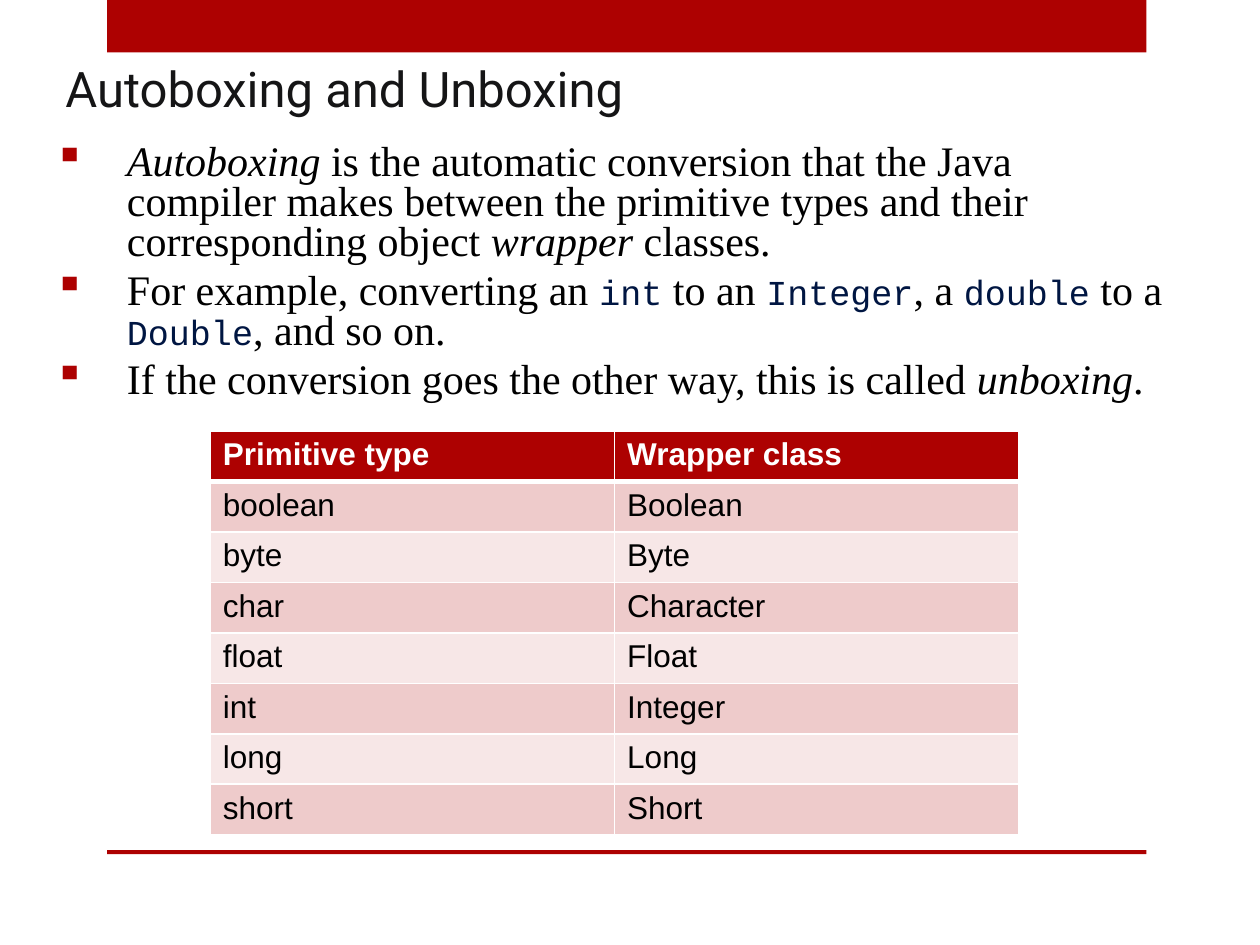
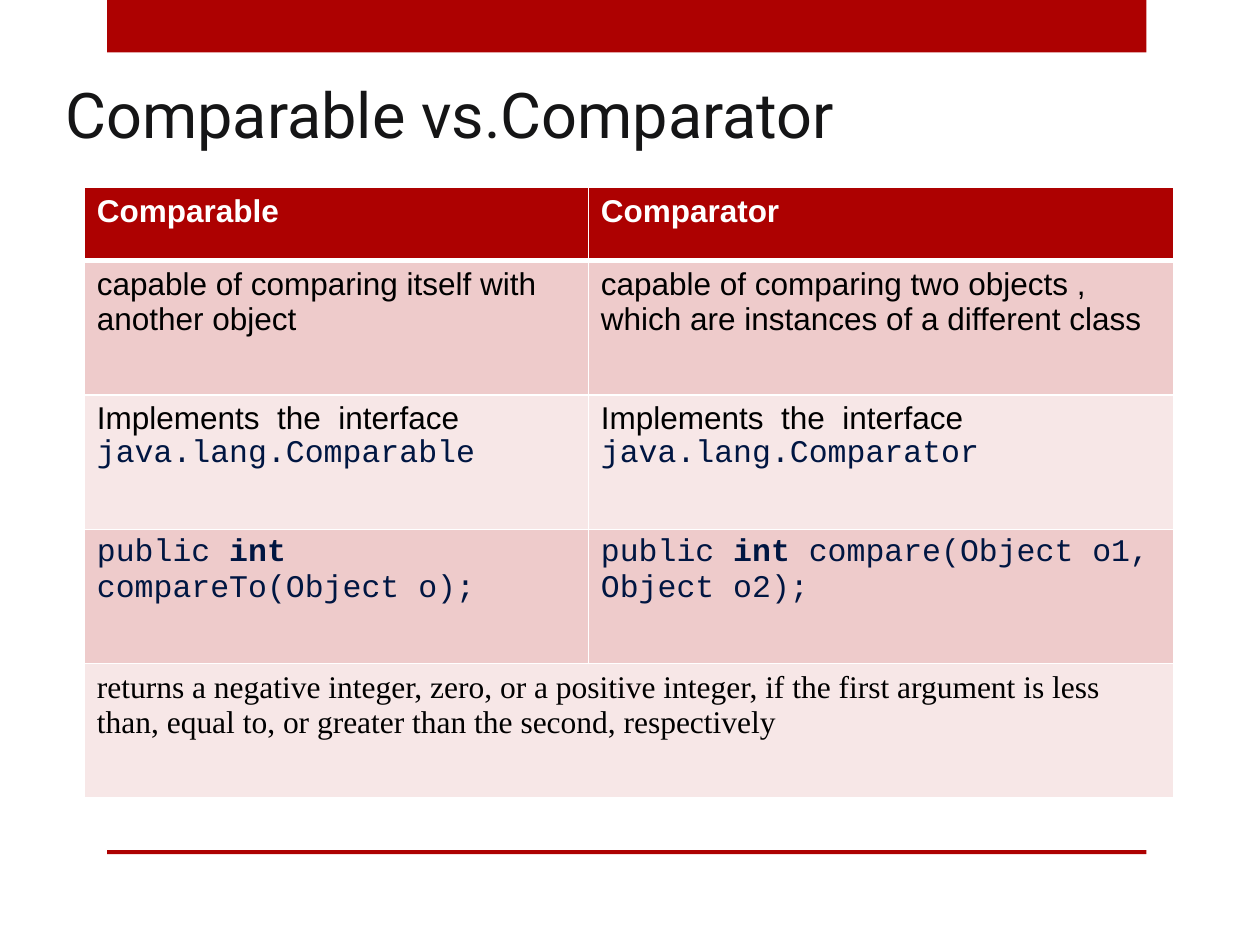
from dataclasses import dataclass, replace

from lxml.etree import SubElement
from pptx import Presentation
from pptx.dml.color import RGBColor
from pptx.enum.shapes import MSO_SHAPE as Preset
from pptx.enum.text import MSO_ANCHOR as Anchor
from pptx.oxml.ns import qn
from pptx.util import Cm, Pt


@dataclass(frozen=True)
class TextStyle:
    font: str
    size: float
    color: str
    bold: bool = False
    italic: bool = False


@dataclass(frozen=True)
class Theme:
    red: str = "AD0101"
    white: str = "FFFFFF"
    row_fills: tuple = ("EECBCB", "F7E7E7")
    title: TextStyle = TextStyle("Roboto", 36, "151516")
    body: TextStyle = TextStyle("Times New Roman", 24, "000000")
    code: TextStyle = TextStyle("Courier New", 20, "001642")
    cell: TextStyle = TextStyle("Arial", 18, "000000")
    header: TextStyle = TextStyle("Arial", 18, "FFFFFF", bold=True)


THEME = Theme()
SMALL_TITLE = replace(THEME.title, size=28)
EMPHASIS = replace(THEME.body, italic=True)
CELL_CODE = replace(THEME.code, size=18)
CELL_KEYWORD = replace(CELL_CODE, bold=True)
CELL_SERIF = replace(THEME.body, size=18)

WRAPPERS = [
    ("boolean", "Boolean"), ("byte", "Byte"), ("char", "Character"),
    ("float", "Float"), ("int", "Integer"), ("long", "Long"),
    ("short", "Short"),
]

# A run is a plain string in the default style, or a (text, style) pair.
AUTOBOXING_POINTS = [
    [("Autoboxing", EMPHASIS),
     " is the automatic conversion that the Java compiler makes between "
     "the primitive types and their corresponding object ",
     ("wrapper ", EMPHASIS), "classes."],
    ["For example, converting an ", ("int", THEME.code), " to an ",
     ("Integer", THEME.code), ", a ", ("double", THEME.code), " to a ",
     ("Double", THEME.code), ", and so on."],
    ["If the conversion goes the other way, this is called ",
     ("unboxing", EMPHASIS), "."],
]

COMPARISON = [
    (["capable of comparing itself with another object"],
     ["capable of comparing two objects , which are instances of a "
      "different class"]),
    tuple(["Implements  the  interface ", (f"java.lang.{name}", CELL_CODE)]
          for name in ("Comparable", "Comparator")),
    ([("public ", CELL_CODE), ("int", CELL_KEYWORD),
      (" compareTo(Object o);", CELL_CODE)],
     [("public ", CELL_CODE), ("int ", CELL_KEYWORD),
      ("compare(Object o1, Object o2);", CELL_CODE)]),
    ([("returns a negative integer, zero, or a positive integer, if the "
       "first argument is less than, equal to, or greater than the second, "
       "respectively", CELL_SERIF)],),
]


class Deck:
    """Holds the theme and the slide being built."""

    def __init__(self, theme):
        self.theme = theme
        self.presentation = Presentation()
        self.presentation.slide_width = Cm(25.4)
        self.presentation.slide_height = Cm(19.05)
        self.slide = None

    def new_slide(self):
        blank = self.presentation.slide_layouts[6]
        self.slide = self.presentation.slides.add_slide(blank)
        self.band(top=0, height=1.06)
        self.band(top=17.14, height=0.08)

    def band(self, top, height):
        shape = self.slide.shapes.add_shape(
            Preset.RECTANGLE, Cm(2.16), Cm(top), Cm(20.95), Cm(height))
        shape.shadow.inherit = False
        shape.fill.solid()
        shape.fill.fore_color.rgb = RGBColor.from_string(self.theme.red)
        shape.line.fill.background()

    def text_frame(self, left, top, height, anchor):
        box = self.slide.shapes.add_textbox(
            Cm(left), Cm(top), Cm(22.86), Cm(height))
        frame = box.text_frame
        frame.word_wrap = True
        frame.vertical_anchor = anchor
        return frame

    def runs(self, paragraph, runs, default):
        for item in runs:
            text, style = (item, default) if isinstance(item, str) else item
            run = paragraph.add_run()
            run.text = text
            font = run.font
            font.name, font.size = style.font, Pt(style.size)
            font.bold, font.italic = style.bold, style.italic
            font.color.rgb = RGBColor.from_string(style.color)

    def title(self, text, top, height, style):
        frame = self.text_frame(1.07, top, height, Anchor.BOTTOM)
        self.runs(frame.paragraphs[0], [text], style)

    def bullets(self, points, top, height):
        frame = self.text_frame(0.84, top, height, Anchor.MIDDLE)
        for index, point in enumerate(points):
            paragraph = frame.add_paragraph() if index else frame.paragraphs[0]
            self.bullet_mark(paragraph, Cm(1.47))
            paragraph.line_spacing = 0.8
            paragraph.space_before = Pt(4.8 if index else 0)
            self.runs(paragraph, point, self.theme.body)

    def bullet_mark(self, paragraph, indent):
        properties = paragraph._p.get_or_add_pPr()
        properties.set("marL", str(indent))
        properties.set("indent", str(-indent))
        color = SubElement(properties, qn("a:buClr"))
        SubElement(color, qn("a:srgbClr"), val=self.theme.red)
        SubElement(properties, qn("a:buChar"), char="▪")

    def table(self, left, top, widths, heights, headings, rows):
        """Rows hold run lists; a row with one cell spans every column."""
        table = self.slide.shapes.add_table(
            len(heights), len(widths), Cm(left), Cm(top),
            Cm(sum(widths)), Cm(sum(heights))).table
        for column, width in zip(table.columns, widths):
            column.width = Cm(width)
        for row, height in zip(table.rows, heights):
            row.height = Cm(height)

        header = [[heading] for heading in headings]
        for row_index, contents in enumerate([header, *rows]):
            is_header = row_index == 0
            style = self.theme.header if is_header else self.theme.cell
            fill = (self.theme.red if is_header
                    else self.theme.row_fills[(row_index - 1) % 2])
            for column_index in range(len(widths)):
                cell = table.cell(row_index, column_index)
                self.borders(cell, top=3 if row_index == 1 else 1,
                             bottom=3 if is_header else 1)
                cell.fill.solid()
                cell.fill.fore_color.rgb = RGBColor.from_string(fill)
            for column_index, runs in enumerate(contents):
                cell = table.cell(row_index, column_index)
                self.runs(cell.text_frame.paragraphs[0], runs, style)
            if len(contents) == 1:
                table.cell(row_index, 0).merge(
                    table.cell(row_index, len(widths) - 1))

    def borders(self, cell, top, bottom):
        properties = cell._tc.get_or_add_tcPr()
        for side, width in zip("LRTB", (1, 1, top, bottom)):
            line = SubElement(properties, qn(f"a:ln{side}"), w=str(Pt(width)))
            fill = SubElement(line, qn("a:solidFill"))
            SubElement(fill, qn("a:srgbClr"), val=self.theme.white)


def autoboxing_slide(deck):
    deck.new_slide()
    deck.title("Autoboxing and Unboxing", 0.84, 1.65, SMALL_TITLE)
    deck.bullets(AUTOBOXING_POINTS, top=2.54, height=5.94)
    deck.table(4.24, 8.69, [8.15] * 2, [0.96] * (len(WRAPPERS) + 1),
               ["Primitive type", "Wrapper class"],
               [([primitive], [wrapper]) for primitive, wrapper in WRAPPERS])


def comparison_slide(deck):
    deck.new_slide()
    deck.table(1.7, 3.78, [10.16, 11.81], [1.47] + [2.71] * len(COMPARISON),
               ["Comparable", "Comparator"], COMPARISON)
    deck.title("Comparable vs.Comparator", 1.47, 1.7, deck.theme.title)


def main():
    deck = Deck(THEME)
    autoboxing_slide(deck)
    comparison_slide(deck)
    deck.presentation.save("out.pptx")


if __name__ == "__main__":
    main()
